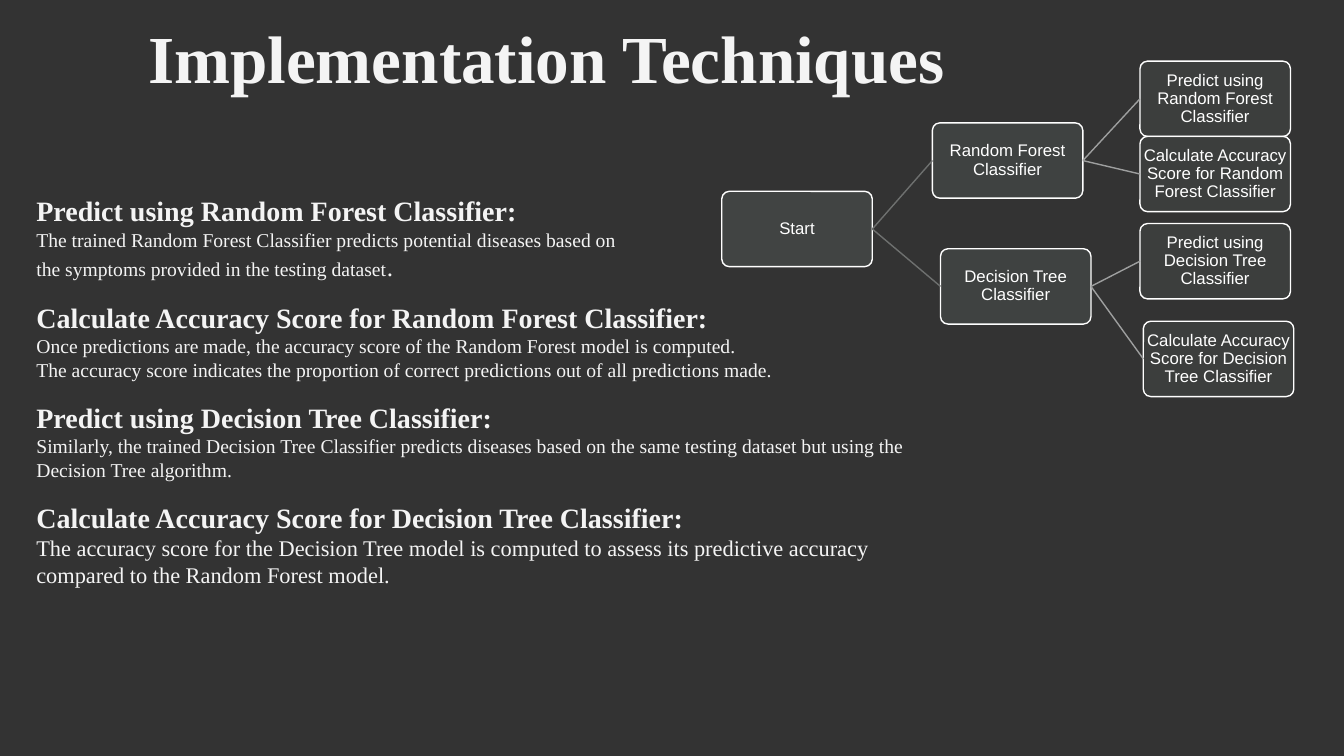
from dataclasses import dataclass

from lxml import etree
from pptx import Presentation
from pptx.dml.color import RGBColor
from pptx.enum.shapes import MSO_CONNECTOR, MSO_SHAPE
from pptx.enum.text import MSO_ANCHOR, MSO_AUTO_SIZE, PP_ALIGN
from pptx.oxml.ns import qn
from pptx.util import Pt

ROUNDED = MSO_SHAPE.ROUNDED_RECTANGLE
STRAIGHT = MSO_CONNECTOR.STRAIGHT
MIDDLE, TOP = MSO_ANCHOR.MIDDLE, MSO_ANCHOR.TOP
CENTER = PP_ALIGN.CENTER
LEFT_SIDE, RIGHT_SIDE = 1, 3

COLORS = {
    "background": "333333",
    "text": "F4F4F4",
    "box": "454948",
    "white": "FFFFFF",
    "first_link": "6E706F",
    "second_link": "9E9F9F",
}
SERIF, SANS = "Times New Roman", "Arial"
BOX_WIDTH, BOX_HEIGHT = 107.5, 53.8
BOX_OPACITY = (80, 70, 50)  # percent, by level of the tree
SECTION_GAP = 13.8


@dataclass
class Node:
    text: str
    left: float
    top: float
    level: int
    parent: str = ""


@dataclass
class Section:
    heading: str
    lines: list[str]
    size: int = 14


NODES = [
    Node("Start", 515.6, 136.7, 0),
    Node("Random Forest Classifier", 666, 87.8, 1, "Start"),
    Node("Predict using Random Forest Classifier", 814.3, 43.7, 2, "Random Forest Classifier"),
    Node("Calculate Accuracy Score for Random Forest Classifier", 814.3, 97.4, 2,
         "Random Forest Classifier"),
    Node("Decision Tree Classifier", 671.8, 177.7, 1, "Start"),
    Node("Predict using Decision Tree Classifier", 814.3, 159.7, 2, "Decision Tree Classifier"),
    Node("Calculate Accuracy Score for Decision Tree Classifier", 816.7, 229.5, 2,
         "Decision Tree Classifier"),
]

SECTIONS = [
    Section("Predict using Random Forest Classifier:", [
        "The trained Random Forest Classifier predicts potential diseases based on",
        "the symptoms provided in the testing dataset",
    ]),
    Section("Calculate Accuracy Score for Random Forest Classifier:", [
        "Once predictions are made, the accuracy score of the Random Forest model is computed.",
        "The accuracy score indicates the proportion of correct predictions out of all "
        "predictions made.",
    ]),
    Section("Predict using Decision Tree Classifier:", [
        "Similarly, the trained Decision Tree Classifier predicts diseases based on the same "
        "testing dataset but using the Decision Tree algorithm.",
    ]),
    Section("Calculate Accuracy Score for Decision Tree Classifier:", [
        "The accuracy score for the Decision Tree model is computed to assess its predictive "
        "accuracy compared to the Random Forest model.",
    ], 16),
]


def color(name: str) -> RGBColor:
    return RGBColor.from_string(COLORS[name])


def set_font(font, name: str, size: float, color_name: str, bold: bool = False) -> None:
    font.name, font.size, font.bold = name, Pt(size), bold
    font.color.rgb = color(color_name)


def add_title(slide, text: str) -> None:
    title = slide.shapes.title
    title.left, title.top, title.width, title.height = Pt(83.5), Pt(0), Pt(614), Pt(87.8)
    frame = title.text_frame
    frame.text = text
    frame.auto_size = MSO_AUTO_SIZE.NONE
    frame.vertical_anchor = MIDDLE
    paragraph = frame.paragraphs[0]
    paragraph.alignment = CENTER
    paragraph.line_spacing = 0.9
    set_font(paragraph.font, SERIF, 48, "text", bold=True)


def add_node(slide, node: Node):
    box = slide.shapes.add_shape(ROUNDED, Pt(node.left), Pt(node.top),
                                 Pt(BOX_WIDTH), Pt(BOX_HEIGHT))
    box.adjustments[0] = 0.1
    box.shadow.inherit = False
    box.fill.solid()
    box.fill.fore_color.rgb = color("box")
    fill_color = box.fill._xPr.find(qn("a:solidFill"))[0]
    opacity = BOX_OPACITY[node.level] * 1000
    etree.SubElement(fill_color, qn("a:alpha"), val=str(opacity))
    box.line.color.rgb = color("white")
    box.line.width = Pt(1)
    frame = box.text_frame
    frame.margin_left = frame.margin_right = frame.margin_top = frame.margin_bottom = Pt(0.7)
    frame.word_wrap = True
    frame.vertical_anchor = MIDDLE
    frame.text = node.text
    paragraph = frame.paragraphs[0]
    paragraph.alignment = CENTER
    paragraph.line_spacing = 0.9
    set_font(paragraph.font, SANS, 12, "white")
    return box


def add_link(slide, parent, child, color_name: str) -> None:
    link = slide.shapes.add_connector(STRAIGHT, 0, 0, 0, 0)
    link.begin_connect(parent, RIGHT_SIDE)
    link.end_connect(child, LEFT_SIDE)
    link.line.color.rgb = color(color_name)
    link.line.width = Pt(1)
    etree.SubElement(link._element.spPr, qn("a:effectLst"))


def add_sections(slide, sections: list[Section]) -> None:
    box = slide.shapes.add_textbox(Pt(18.9), Pt(134.9), Pt(659.5), Pt(290))
    frame = box.text_frame
    frame.word_wrap = True
    frame.vertical_anchor = TOP
    for index, section in enumerate(sections):
        heading = frame.add_paragraph() if index else frame.paragraphs[0]
        heading.text = section.heading
        if index:
            heading.space_before = Pt(SECTION_GAP)
        set_font(heading.font, SERIF, 20, "text", bold=True)
        for line in section.lines:
            paragraph = frame.add_paragraph()
            paragraph.text = line
            set_font(paragraph.font, SERIF, section.size, "text")
            if not line.endswith((".", "on")):
                # The closing full stop is larger than its sentence
                full_stop = paragraph.add_run()
                full_stop.text = "."
                full_stop.font.size = Pt(18)


def main() -> None:
    presentation = Presentation()
    presentation.slide_width, presentation.slide_height = Pt(960), Pt(540)
    slide = presentation.slides.add_slide(presentation.slide_layouts[5])
    slide.background.fill.solid()
    slide.background.fill.fore_color.rgb = color("background")

    add_title(slide, "Implementation Techniques")

    # Tree of steps, each box joined to its parent
    boxes = {}
    for node in NODES:
        boxes[node.text] = add_node(slide, node)
        if node.parent:
            link_color = "first_link" if node.level == 1 else "second_link"
            add_link(slide, boxes[node.parent], boxes[node.text], link_color)

    # Explanations
    add_sections(slide, SECTIONS)
    presentation.save("out.pptx")


if __name__ == "__main__":
    main()
